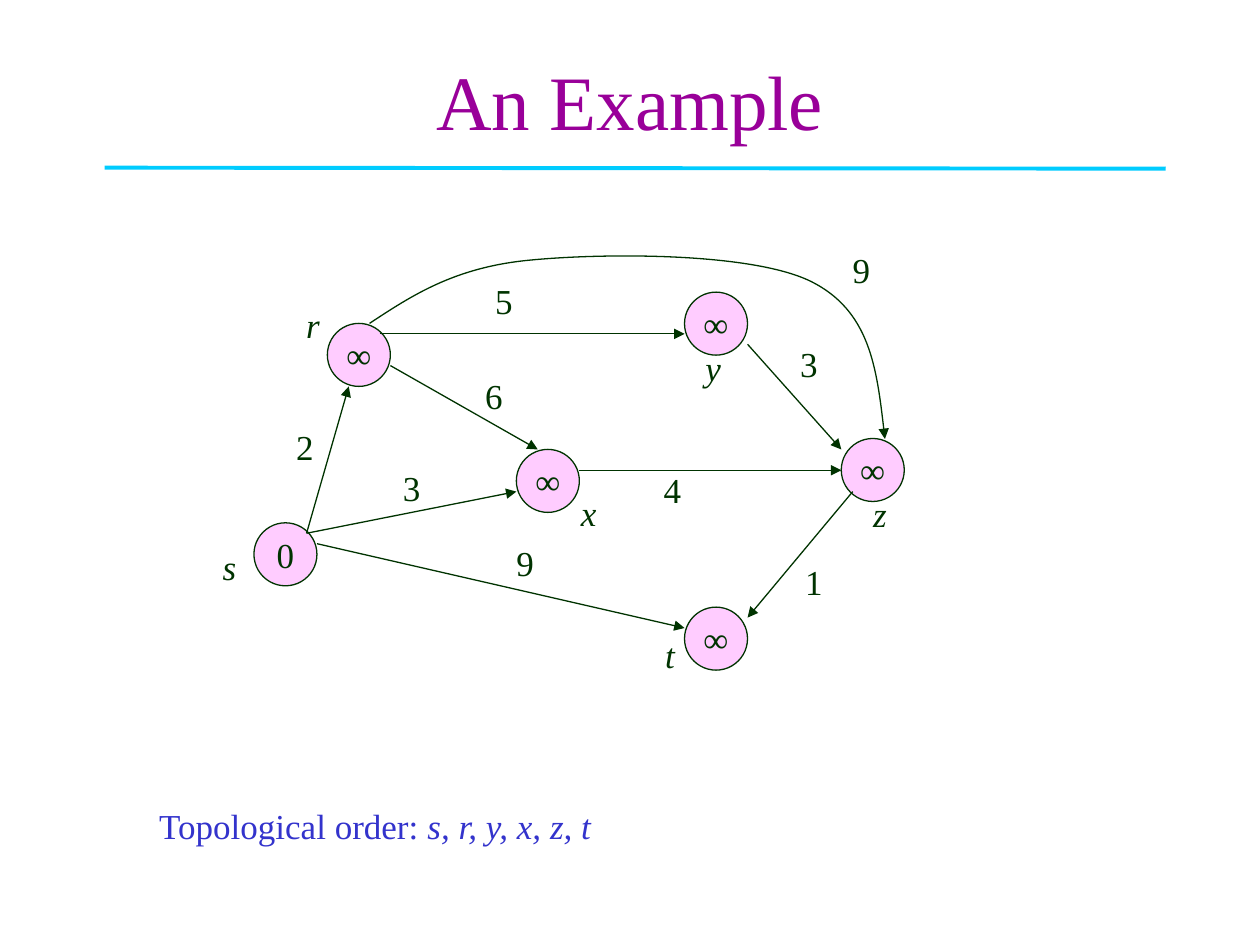
from pptx import Presentation
from pptx.dml.color import RGBColor
from pptx.enum.shapes import MSO_CONNECTOR, MSO_SHAPE
from pptx.enum.text import MSO_ANCHOR, MSO_AUTO_SIZE, PP_ALIGN
from pptx.oxml.ns import qn
from pptx.util import Cm, Pt
from lxml.etree import SubElement

PURPLE = RGBColor(0x99, 0x00, 0x99)
CYAN = RGBColor(0x00, 0xCC, 0xFF)
BLUE = RGBColor(0x33, 0x33, 0xCC)
GREEN = RGBColor(0x00, 0x33, 0x00)
PINK = RGBColor(0xFF, 0xCC, 0xFF)

DIAMETER = 1.27
FRAME_FORMAT = {"word_wrap": False, "auto_size": MSO_AUTO_SIZE.SHAPE_TO_FIT_TEXT}

presentation = Presentation()
presentation.slide_width, presentation.slide_height = Cm(25.4), Cm(19.05)
slide = presentation.slides.add_slide(presentation.slide_layouts[6])
shapes = slide.shapes


def write(shape, runs, color=GREEN, size=20, align=PP_ALIGN.LEFT, **frame_format):
    """Fill a shape with one paragraph of (text, italic) runs."""
    for name, value in frame_format.items():
        setattr(shape.text_frame, name, value)
    paragraph = shape.text_frame.paragraphs[0]
    paragraph.alignment = align
    for text, italic in runs:
        run = paragraph.add_run()
        run.text = text
        run.font.color.rgb = color
        values = {"name": "Times New Roman", "size": Pt(size), "italic": italic}
        for name, value in values.items():
            setattr(run.font, name, value)


def style_line(shape, color=GREEN, width=0.75, arrow=True):
    """Give a line its colour and width, an optional arrowhead and no shadow."""
    shape.line.color.rgb = color
    shape.line.width = Pt(width)
    if arrow:
        SubElement(shape.line._get_or_add_ln(), qn("a:tailEnd"), type="triangle")
    if shape._element.spPr.find(qn("a:effectLst")) is None:
        SubElement(shape._element.spPr, qn("a:effectLst"))


# Title and rule
title = shapes.add_textbox(Cm(1.9), Cm(0.43), Cm(21.6), Cm(3.18))
write(title, [("An Example", False)], PURPLE, 44, PP_ALIGN.CENTER,
      word_wrap=True, vertical_anchor=MSO_ANCHOR.MIDDLE)
rule = shapes.add_connector(MSO_CONNECTOR.STRAIGHT, Cm(2.11), Cm(3.38), Cm(23.5), Cm(3.4))
style_line(rule, CYAN, 2.25, arrow=False)

# Nodes: name, distance, circle corner, name corner
nodes = [
    ("x", "∞", (10.41, 9.06), (11.46, 9.78)),
    ("y", "∞", (13.8, 5.89), (13.97, 6.86)),
    ("t", "∞", (13.8, 12.24), (13.16, 12.65)),
    ("s", "0", (5.12, 10.54), (4.24, 10.87)),
    ("z", "∞", (16.96, 8.84), (17.35, 9.8)),
    ("r", "∞", (6.6, 6.52), (5.92, 5.99)),
]
for name, distance, (left, top), (name_left, name_top) in nodes:
    circle = shapes.add_shape(MSO_SHAPE.OVAL, Cm(left), Cm(top), Cm(DIAMETER), Cm(DIAMETER))
    circle.shadow.inherit = False
    circle.fill.solid()
    circle.fill.fore_color.rgb = PINK
    style_line(circle, arrow=False)
    write(circle, [(distance, False)], align=PP_ALIGN.CENTER,
          word_wrap=False, vertical_anchor=MSO_ANCHOR.MIDDLE)
    label = shapes.add_textbox(Cm(name_left), Cm(name_top), Cm(0.85), Cm(1.27))
    write(label, [(name, True)], **FRAME_FORMAT)

# Straight edges: weight, start, end, weight corner
edges = [
    ("2", (6.18, 10.75), (7.03, 7.79), (5.72, 8.46)),
    ("6", (7.87, 7.37), (10.84, 9.06), (9.53, 7.42)),
    ("5", (7.66, 6.73), (13.8, 6.73), (9.73, 5.51)),
    ("4", (11.68, 9.48), (16.96, 9.48), (13.13, 9.32)),
    ("3", (15.07, 6.94), (16.96, 9.06), (15.88, 6.78)),
    ("1", (17.19, 9.91), (15.07, 12.45), (15.98, 11.18)),
    ("9", (6.39, 10.96), (13.8, 12.66), (10.16, 10.8)),
    ("3", (6.18, 10.75), (10.41, 9.91), (7.87, 9.27)),
]
for weight, start, end, corner in edges:
    edge = shapes.add_connector(MSO_CONNECTOR.STRAIGHT, *map(Cm, start + end))
    style_line(edge)

# Curved edge from r to z: each three points make one Bezier segment
curve_points = [
    (8.3, 5.96), (9.15, 5.4), (10.63, 5.25),
    (12.11, 5.1), (15.13, 5.08), (16.34, 5.67),
    (17.54, 6.26), (17.69, 7.55), (17.84, 8.85),
]
builder = shapes.build_freeform(Cm(7.45), Cm(6.52))
builder.add_line_segments([(Cm(x), Cm(y)) for x, y in curve_points], close=False)
curve = builder.convert_to_shape()
curve.shadow.inherit = False
curve.fill.background()
style_line(curve)
outline = next(curve._element.iter(qn("a:path")))
segments = outline.findall(qn("a:lnTo"))
for first in range(0, len(segments), 3):
    bezier = SubElement(outline, qn("a:cubicBezTo"))
    for segment in segments[first:first + 3]:
        bezier.append(segment[0])
        outline.remove(segment)

# Edge weights
weights = [(weight, corner) for weight, _, _, corner in edges] + [("9", (16.94, 4.88))]
for weight, (left, top) in weights:
    label = shapes.add_textbox(Cm(left), Cm(top), Cm(0.86), Cm(1.1))
    write(label, [(weight, False)], **FRAME_FORMAT)

# Topological order
order = shapes.add_textbox(Cm(2.96), Cm(16.09), Cm(11.13), Cm(1.27))
write(order, [("Topological order: ", False), ("s, r, y, x, z, t", True)], BLUE, **FRAME_FORMAT)

presentation.save("out.pptx")
